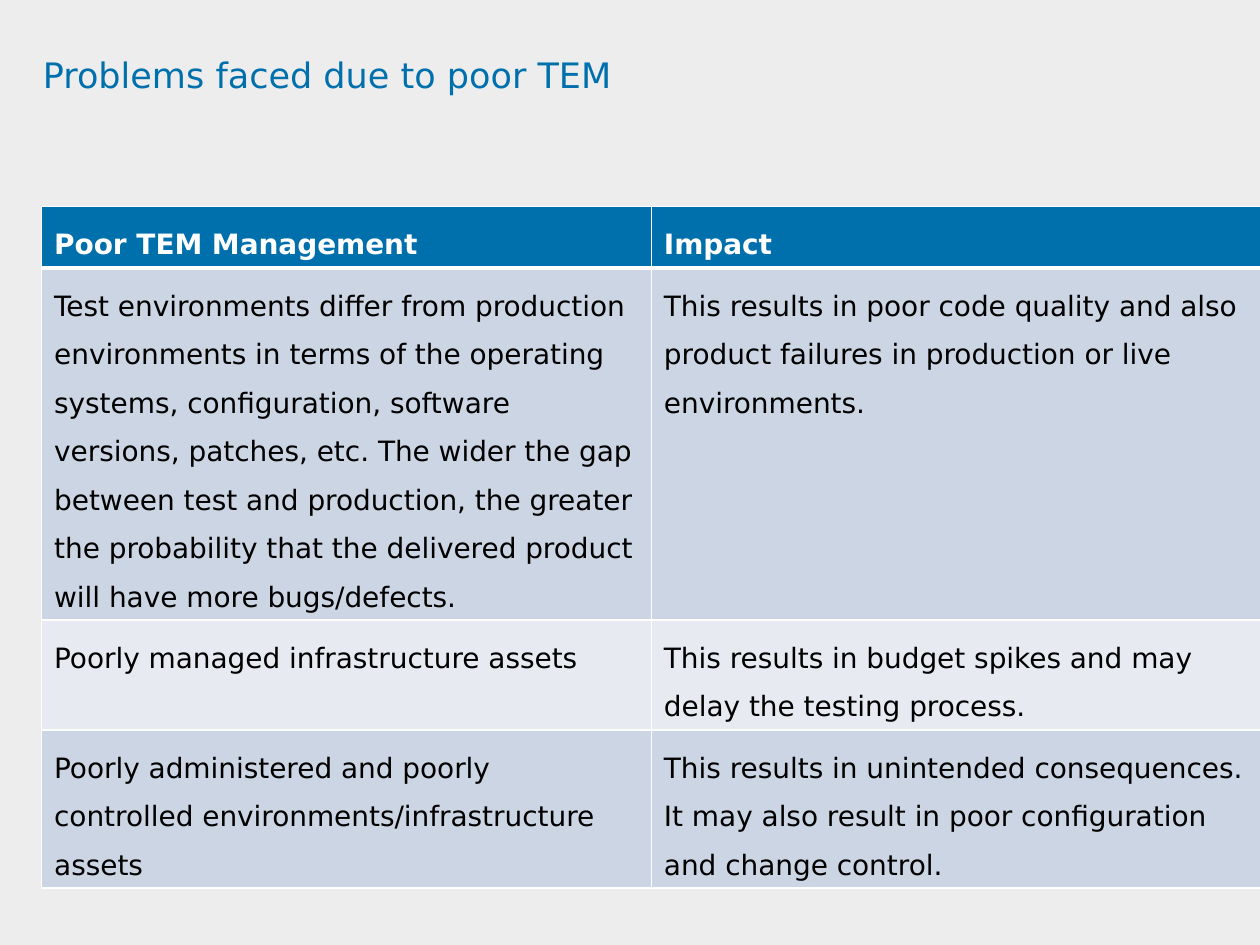
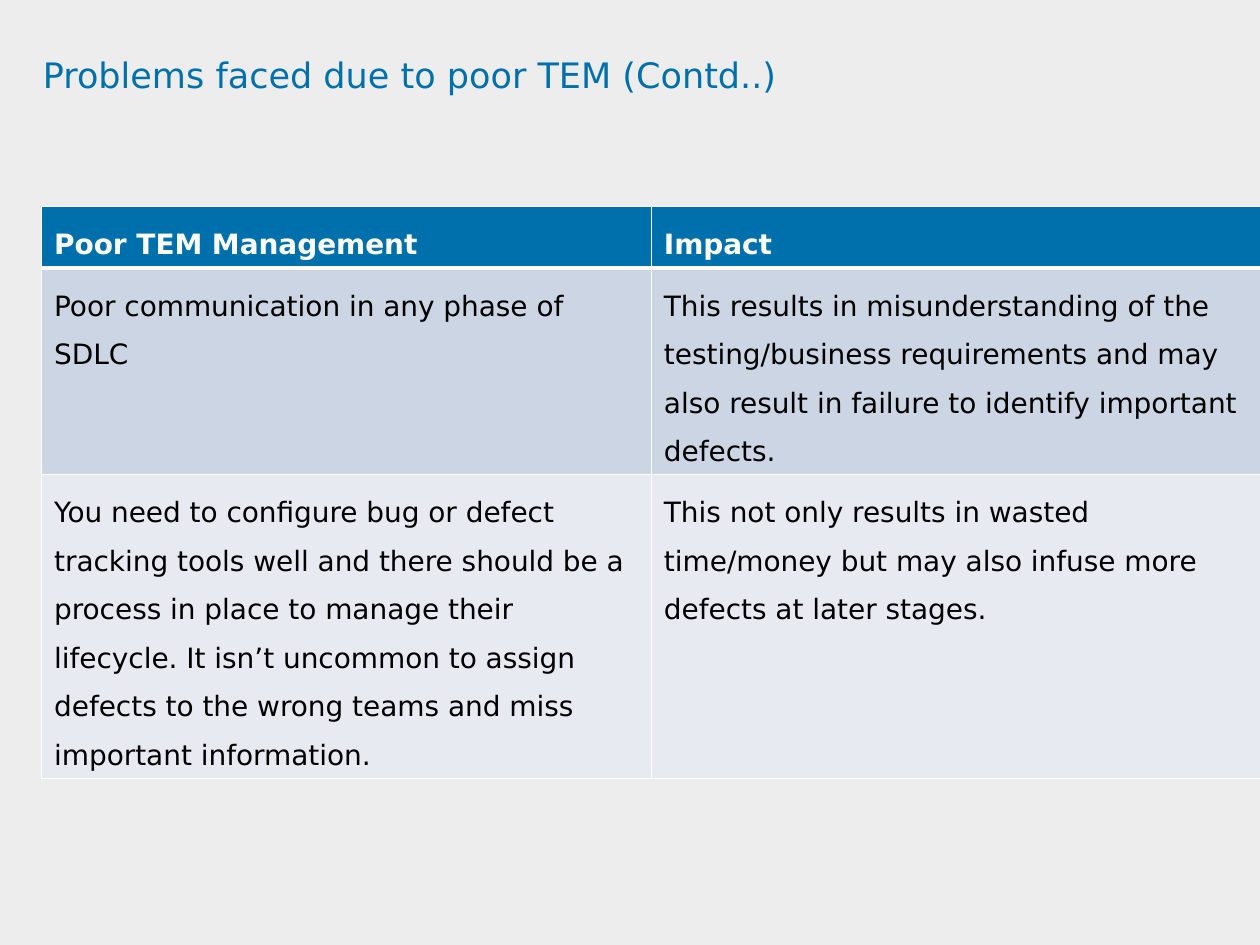
from lxml import etree
from pptx import Presentation
from pptx import util as u
from pptx.dml.color import RGBColor
from pptx.enum import text
from pptx.oxml import ns

PX = 9144  # 100 px to the inch
FONT = "DejaVu Sans"
BLUE = RGBColor(0x00, 0x70, 0xAD)
GREY = RGBColor(0xED, 0xED, 0xED)
DARK = RGBColor(0xCC, 0xD5, 0xE3)
PALE = RGBColor(0xE7, 0xEB, 0xF1)
WHITE = RGBColor(0xFF, 0xFF, 0xFF)
BLACK = RGBColor(0x00, 0x00, 0x00)

HEAD = ("Poor TEM Management", "Impact")
FIRST = [
    ("Test environments differ from production environments in terms of the "
     "operating systems, configuration, software versions, patches, etc. The "
     "wider the gap between test and production, the greater the probability "
     "that the delivered product will have more bugs/defects.",
     "This results in poor code quality and also product failures in "
     "production or live environments."),
    ("Poorly managed infrastructure assets",
     "This results in budget spikes and may delay the testing process."),
    ("Poorly administered and poorly controlled environments/infrastructure "
     "assets",
     "This results in unintended consequences. It may also result in poor "
     "configuration and change control."),
]
SECOND = [
    ("Poor communication in any phase of SDLC",
     "This results in misunderstanding of the testing/business requirements "
     "and may also result in failure to identify important defects."),
    ("You need to configure bug or defect tracking tools well and there "
     "should be a process in place to manage their lifecycle. It isn’t "
     "uncommon to assign defects to the wrong teams and miss important "
     "information.",
     "This not only results in wasted time/money but may also infuse more "
     "defects at later stages."),
]


class Deck:
    def __init__(self):
        self.prs = Presentation()
        self.prs.slide_width = 1000 * PX
        self.prs.slide_height = 750 * PX
        self.slide = None

    def page(self, title):
        self.slide = self.prs.slides.add_slide(self.prs.slide_layouts[5])
        fill = self.slide.background.fill
        fill.solid()
        fill.fore_color.rgb = GREY
        self.title(title)

    def title(self, words):
        box = self.slide.shapes.title
        box.left, box.top, box.width, box.height = (
            n * PX for n in (34, 46, 909, 94))
        frame = box.text_frame
        frame.margin_left = frame.margin_right = 0
        frame.margin_top = frame.margin_bottom = 0
        frame.vertical_anchor = text.MSO_ANCHOR.TOP
        frame.auto_size = text.MSO_AUTO_SIZE.NONE
        self.label(frame, words, 20, BLUE, 0.9)

    def label(self, frame, words, size, color, space, bold=False):
        para = frame.paragraphs[0]
        para.alignment = text.PP_ALIGN.LEFT
        para.line_spacing = space
        run = para.add_run()
        run.text = words
        font = run.font
        font.name, font.size, font.bold = FONT, u.Pt(size), bold
        font.color.rgb = color

    def edge(self, cell, side, width):
        """Draw one white border; side is L, R, T or B."""
        line = etree.SubElement(cell._tc.get_or_add_tcPr(),
                                ns.qn("a:ln" + side), w=str(u.Pt(width)))
        fill = etree.SubElement(line, ns.qn("a:solidFill"))
        etree.SubElement(fill, ns.qn("a:srgbClr"), val=str(WHITE))

    def cell(self, cell, words, row):
        head = row == 0
        for side in "LRTB":
            thick = (row, side) in ((0, "B"), (1, "T"))
            self.edge(cell, side, 3 if thick else 1)
        cell.fill.solid()
        cell.fill.fore_color.rgb = BLUE if head else DARK if row % 2 else PALE
        self.label(cell.text_frame, words, 16, WHITE if head else BLACK,
                   1.5, head)

    def table(self, body, height):
        """Rows start at one line and grow with their text."""
        rows = [HEAD, *body]
        frame = self.slide.shapes.add_table(
            len(rows), len(HEAD), 33 * PX, 164 * PX, 968 * PX, height * PX)
        grid = frame.table
        for col in grid.columns:
            col.width = 484 * PX
        for r, row in enumerate(rows):
            grid.rows[r].height = 41 * PX
            for c, words in enumerate(row):
                self.cell(grid.cell(r, c), words, r)
        frame.height = height * PX


def main():
    deck = Deck()
    deck.page("Problems faced due to poor TEM")
    deck.table(FIRST, 560)
    deck.page("Problems faced due to poor TEM (Contd..)")
    deck.table(SECOND, 470)
    deck.prs.save("out.pptx")


if __name__ == "__main__":
    main()
